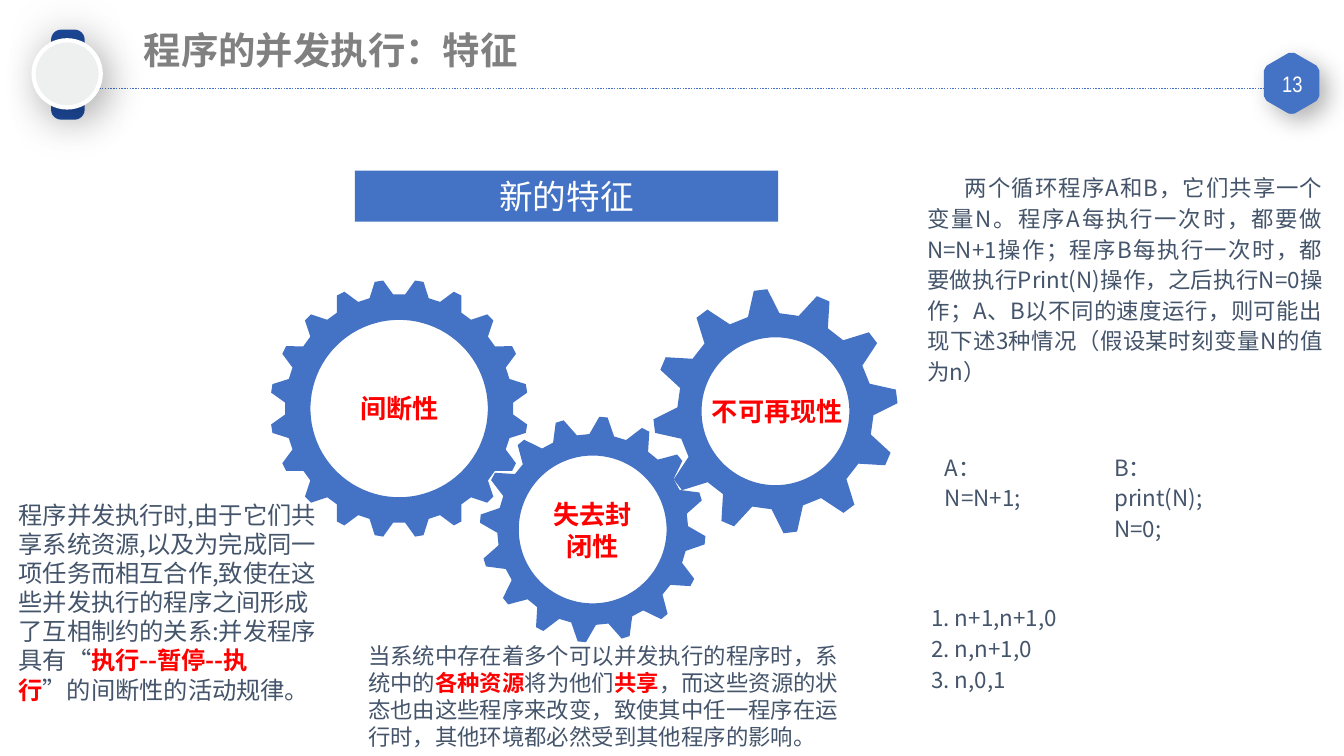
from math import cos, radians, sin

from lxml.etree import SubElement
from pptx import Presentation
from pptx.dml.color import RGBColor
from pptx.enum.dml import MSO_LINE
from pptx.enum.shapes import MSO_CONNECTOR, MSO_SHAPE
from pptx.enum.text import MSO_ANCHOR as ANCHOR, MSO_AUTO_SIZE as FIT, PP_ALIGN as ALIGN
from pptx.oxml.ns import qn
from pptx.util import Inches, Pt

BLUE = RGBColor(0x44, 0x72, 0xC4)
NAVY = RGBColor(0x1D, 0x49, 0x99)
PALE = RGBColor(0xEE, 0xF0, 0xF0)
WHITE = RGBColor(0xFF, 0xFF, 0xFF)
RED = RGBColor(0xFF, 0, 0)
GREY = RGBColor(0x80, 0x80, 0x80)
SLATE = RGBColor(0x44, 0x54, 0x6A)
SANS = "Noto Sans CJK SC"
TIGHT = (0.07, 0.04)
WIDE = (0.1, 0.05)

TITLE = "程序的并发执行：特征"
BANNER = "新的特征"

# centre x, centre y, hole radius, root radius, tip radius,
# teeth, angle of first tooth, half angle of a tooth at root and at tip
GEARS = [
    (2.97, 3.04, 0.66, 0.85, 0.96, 20, 9, 6, 1.9),
    (4.41, 3.94, 0.55, 0.71, 0.84, 16, 5.5, 7.5, 2.1),
    (5.77, 3.06, 0.55, 0.73, 0.91, 12, -7, 9.3, 3.2),
]
TRAITS = [
    ("间断性", (2.32, 2.88, 1.31, 0.31)),
    ("失去封闭性", (3.96, 3.67, 0.9, 0.55)),
    ("不可再现性", (5.13, 2.9, 1.31, 0.31)),
]
# Each paragraph is a tuple of runs; every second run is stressed.
PAUSE = [(
    "程序并发执行时,由于它们共享系统资源,以及为完成同一项任务而相互合作,"
    "致使在这些并发执行的程序之间形成了互相制约的关系:并发程序具有“",
    "执行--暂停--执行",
    "”的间断性的活动规律。",
)]
SHARE = [(
    "当系统中存在着多个可以并发执行的程序时，系统中的",
    "各种资源",
    "将为他们",
    "共享",
    "，而这些资源的状态也由这些程序来改变，致使其中任一程序在运行时，"
    "其他环境都必然受到其他程序的影响。",
)]
CASE = [(
    "两个循环程序A和B，它们共享一个变量N。程序A每执行一次时，都要做N=N+1操作；"
    "程序B每执行一次时，都要做执行Print(N)操作，之后执行N=0操作；"
    "A、B以不同的速度运行，则可能出现下述3种情况（假设某时刻变量N的值为n）",
)]
RESULTS = [("1. n+1,n+1,0",), ("2. n,n+1,0",), ("3. n,0,1",)]
PROG_A = [("A：",), ("N=N+1;",)]
PROG_B = [("B：",), ("print(N);",), ("N=0;",)]
# paragraphs, box, size, insets, first-line indent, justified
NOTES = [
    (CASE, (6.83, 1.23, 3.08, 1.67), 12, TIGHT, 0.28, True),
    (PAUSE, (0.04, 3.67, 2.42, 1.63), 13, WIDE, 0, False),
    (SHARE, (2.64, 4.73, 3.86, 0.91), 12, WIDE, 0, False),
    (RESULTS, (6.58, 4.43, 3.08, 0.75), 12, TIGHT, 0.28, True),
    (PROG_A, (6.96, 3.31, 1.01, 0.52), 12, TIGHT, 0, True),
    (PROG_B, (8.22, 3.31, 1.01, 0.75), 12, TIGHT, 0, True),
]

deck = Presentation()
deck.slide_width = Inches(10)
deck.slide_height = Inches(10) * 9 // 16
slide = deck.slides.add_slide(deck.slide_layouts[6])
shapes = slide.shapes


def paint(shape, fill, line=None, width=1):
    shape.shadow.inherit = False
    shape.fill.solid()
    shape.fill.fore_color.rgb = fill
    if line is None:
        shape.line.fill.background()
    else:
        shape.line.color.rgb = line
        shape.line.width = Pt(width)


def cast(shape, alpha, blur, dist):
    """Give a painted shape a soft black shadow to the lower right."""
    fx = shape._element.spPr.find(qn("a:effectLst"))
    shade = SubElement(fx, qn("a:outerShdw"), blurRad=str(Pt(blur)),
                       dist=str(Pt(dist)), dir=str(45 * 60000), rotWithShape="0")
    tone = SubElement(shade, qn("a:srgbClr"), val="000000")
    SubElement(tone, qn("a:alpha"), val=str(alpha * 1000))


def polar(x, y, r, turn):
    """Point at a clockwise angle from the top, in EMU."""
    a = radians(turn)
    return Inches(x + r * sin(a)), Inches(y - r * cos(a))


def outline(*rings):
    pen = shapes.build_freeform(*rings[0][0])
    for i, ring in enumerate(rings):
        if i:
            pen.move_to(*ring[0])
        pen.add_line_segments(ring[1:], close=True)
    return pen.convert_to_shape()


def gear(x, y, hole, root, tip, teeth, start, foot, top):
    rim = []
    for i in range(teeth):
        mid = start + 360 * i / teeth
        for r, turn in ((root, -foot), (tip, -top), (tip, top), (root, foot)):
            rim.append(polar(x, y, r, mid + turn))
    bore = [polar(x, y, hole, -a) for a in range(0, 360, 4)]
    paint(outline(rim, bore), BLUE)


def write(shape, paras, size, color=SLATE, bold=False, face=SANS, align=None,
          pad=TIGHT, anchor=ANCHOR.TOP, indent=0, space=None):
    frame = shape.text_frame
    frame.word_wrap = True
    frame.vertical_anchor = anchor
    frame.margin_left = frame.margin_right = Inches(pad[0])
    frame.margin_top = frame.margin_bottom = Inches(pad[1])
    for i, runs in enumerate(paras):
        para = frame.add_paragraph() if i else frame.paragraphs[0]
        para.alignment = align
        props = para._p.get_or_add_pPr()
        if space:
            para.line_spacing = space
            props.set("hangingPunct", "0")
        if indent:
            props.set("marL", "0")
            props.set("indent", str(Inches(indent)))
        for j, words in enumerate(runs):
            run = para.add_run()
            run.text = words
            font = run.font
            font.size, font.name = Pt(size), face
            font.bold = bold or j % 2 == 1
            font.color.rgb = RED if j % 2 else color
            SubElement(run._r.rPr, qn("a:ea"), typeface=face)


def box(place, paras, size, grow=True, **look):
    area = shapes.add_textbox(*map(Inches, place))
    write(area, paras, size, **look)
    area.text_frame.auto_size = FIT.SHAPE_TO_FIT_TEXT if grow else FIT.NONE


# Header
rule = shapes.add_connector(MSO_CONNECTOR.STRAIGHT, Inches(0.33), Inches(0.66),
                            Inches(9.43), Inches(0.66))
rule.line.color.rgb = BLUE
rule.line.width = Pt(0.75)
rule.line.dash_style = MSO_LINE.ROUND_DOT
SubElement(rule._element.spPr, qn("a:effectLst"))

# Hexagon with softened corners
badge = outline([polar(9.61, 0.62, r, corner + turn)
                 for corner in range(0, 360, 60)
                 for r, turn in ((0.22, -5), (0.22, 0), (0.22, 5))])
paint(badge, BLUE, BLUE)
cast(badge, 30, 13, 6)
box((9.42, 0.5, 0.39, 0.25), [("13",)], 12, grow=False, color=WHITE,
    face="Arial Narrow", align=ALIGN.CENTER, anchor=ANCHOR.MIDDLE)

strap = shapes.add_shape(MSO_SHAPE.ROUNDED_RECTANGLE, Inches(0.17), Inches(0.43),
                         Inches(0.67), Inches(0.25))
strap.adjustments[0] = 0.3
strap.rotation = 270
paint(strap, NAVY)
cast(strap, 17, 27, 0)
dial = shapes.add_shape(MSO_SHAPE.OVAL, Inches(0.25), Inches(0.3),
                        Inches(0.5), Inches(0.5))
paint(dial, PALE, WHITE, 2.25)
cast(dial, 28, 22, 6)
box((1, 0.16, 3.52, 0.41), [(TITLE,)], 20, color=GREY, bold=True)

# Gears and banner
for part in GEARS:
    gear(*part)
for name, place in TRAITS:
    box(place, [(name,)], 14, color=RED, bold=True, align=ALIGN.CENTER,
        anchor=ANCHOR.MIDDLE)
banner = shapes.add_shape(MSO_SHAPE.RECTANGLE, Inches(2.64), Inches(1.27),
                          Inches(3.15), Inches(0.38))
paint(banner, BLUE)
write(banner, [(BANNER,)], 18, color=WHITE, align=ALIGN.CENTER,
      pad=(0.08, 0.04), anchor=ANCHOR.MIDDLE)

# Explanations
for paras, place, size, pad, indent, even in NOTES:
    box(place, paras, size, pad=pad, indent=indent,
        align=ALIGN.JUSTIFY if even else None, space=1.14 if even else None)

deck.save("out.pptx")
